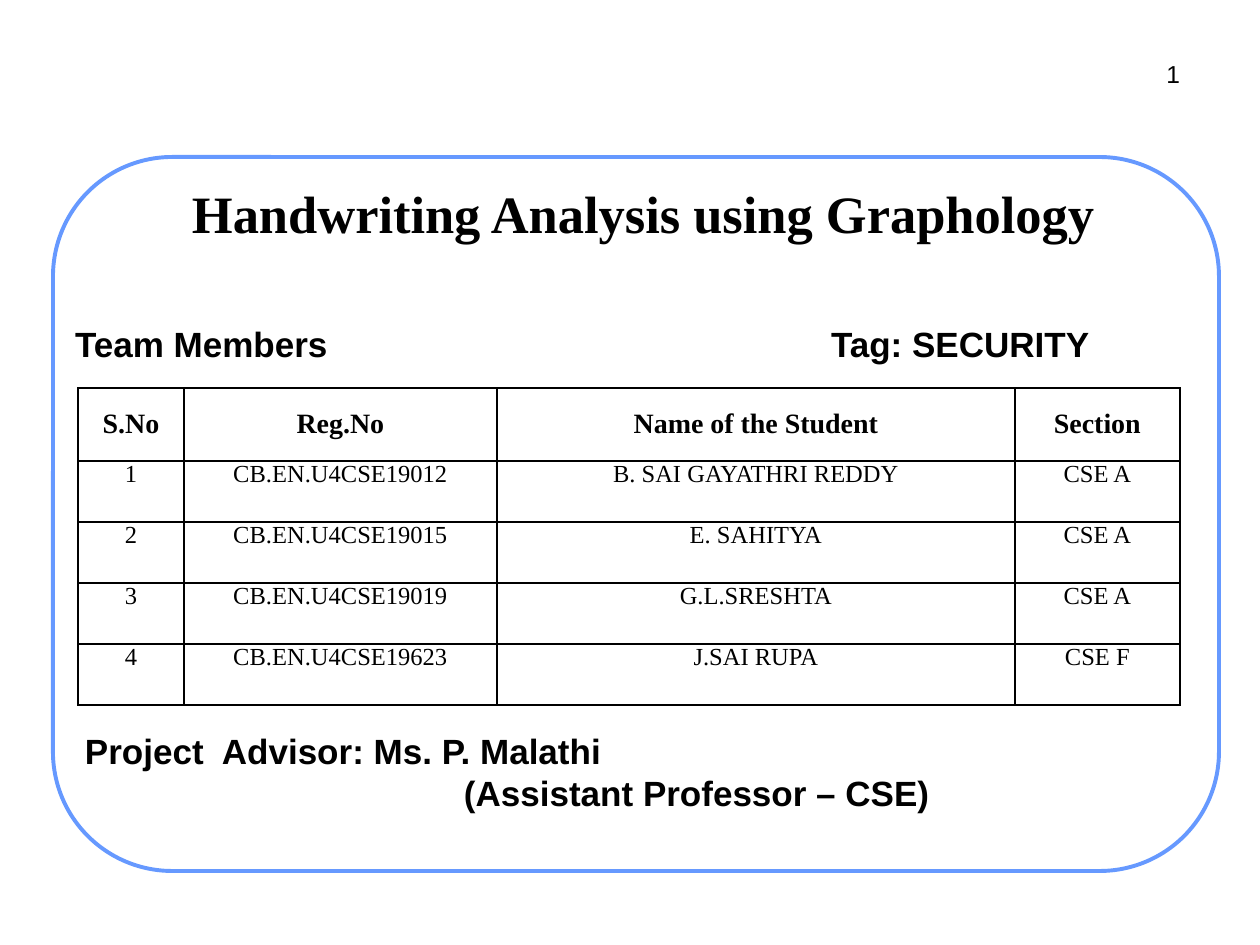
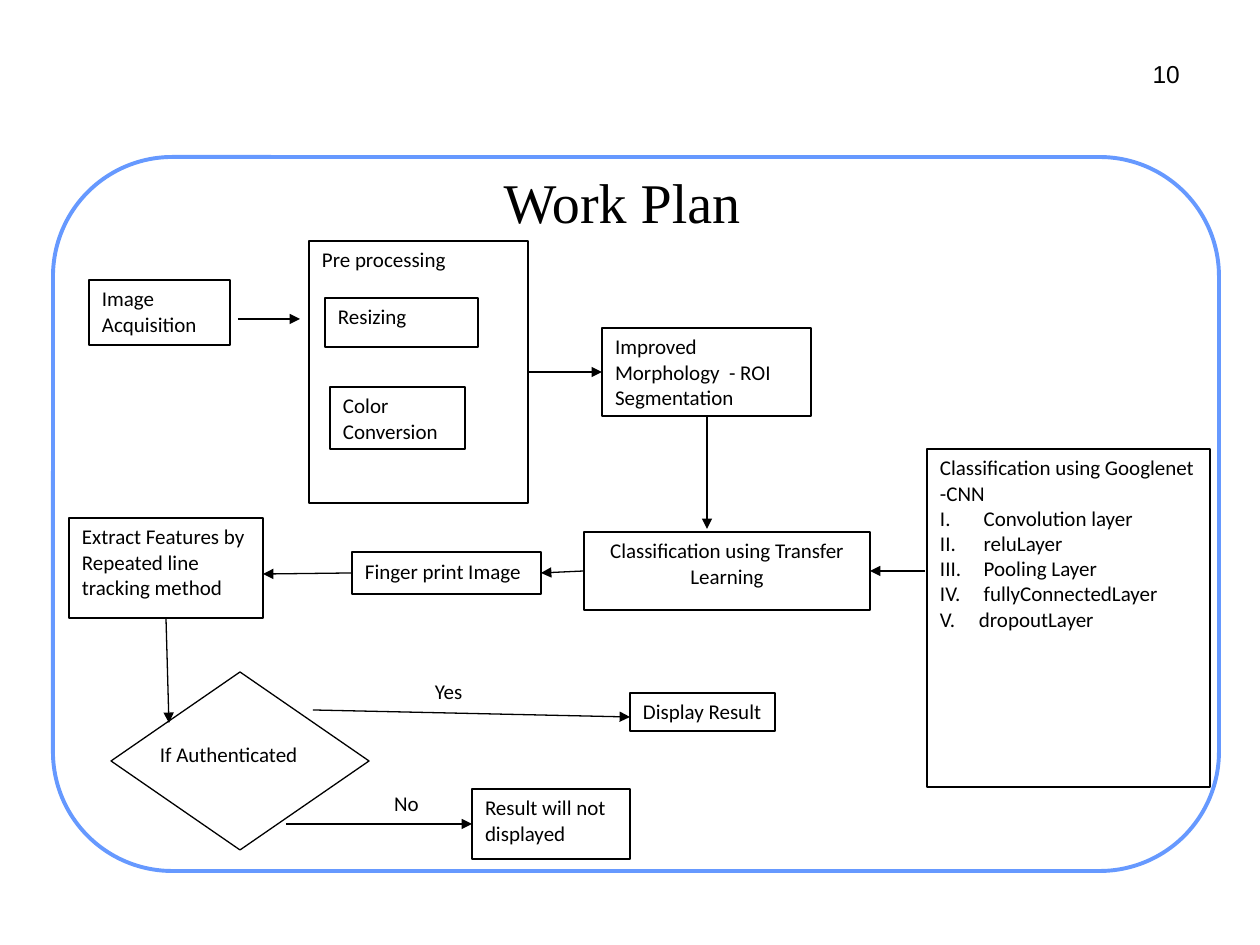
from dataclasses import dataclass
from lxml.etree import SubElement as Sub
from pptx import Presentation
from pptx.dml.color import RGBColor as Color
from pptx.enum.shapes import MSO_CONNECTOR as Link, MSO_SHAPE as Kind
from pptx.enum.text import MSO_ANCHOR as Anchor, MSO_AUTO_SIZE as Fit, PP_ALIGN as Align
from pptx.oxml.ns import qn
from pptx.util import Emu, Pt


@dataclass(frozen=True)
class Theme:
    ink: str = "000000"
    paper: str = "FFFFFF"
    rim: str = "6699FF"
    sans: str = "Arial"
    serif: str = "Times New Roman"
    flow: str = "Calibri"
    cover: int = 30
    title: int = 32
    lead: int = 20
    head: int = 16
    body: int = 14
    note: int = 12
    thin: float = 0.75
    thick: float = 2.25
    scale: float = 914400 / 126


def px(n):
    return Emu(round(n * Theme.scale))


class Deck:
    def __init__(self, theme):
        self.theme = theme
        self.file = Presentation()
        self.file.slide_width, self.file.slide_height = px(1260), px(945)
        self.base = self.file.slide_layouts[5]
        self.slide = None

    def page(self, number, title, box, size, bold=False):
        t = self.theme
        first = self.slide is None
        self.slide = self.file.slides.add_slide(self.base)
        if first:
            self.frame()
        head = self.slide.shapes.title
        head.left, head.top, head.width, head.height = map(px, box)
        self.put(head, [title], t.serif, size, bold, Align.CENTER, Anchor.MIDDLE)
        self.label((1136, 53, 50, 40), [number], t.sans, t.body, align=Align.RIGHT)

    def frame(self):
        rim = self.shape(Kind.ROUNDED_RECTANGLE, (53, 157, 1166, 714),
                         self.theme.rim, self.theme.thick)
        rim.adjustments[0] = 0.167
        self.base.shapes._spTree.insert(2, rim._element)

    def put(self, item, lines, face, size, bold=False, align=Align.LEFT,
            anchor=Anchor.TOP, inset=(6, 6)):
        text = item.text_frame
        text.word_wrap = True
        text.auto_size = Fit.NONE
        text.vertical_anchor = anchor
        text.margin_left = text.margin_right = px(inset[0])
        text.margin_top = text.margin_bottom = px(inset[1])
        for i, line in enumerate(lines):
            para = text.add_paragraph() if i else text.paragraphs[0]
            self.run(para, line, face, size, bold, align)
        return text.paragraphs

    def run(self, para, line, face, size, bold, align):
        para.alignment = align
        run = para.add_run()
        run.text = line
        font = run.font
        font.name, font.size, font.bold = face, Pt(size), bold
        font.color.rgb = Color.from_string(self.theme.ink)

    def label(self, box, lines, face, size, bold=False, align=Align.LEFT):
        item = self.slide.shapes.add_textbox(*map(px, box))
        return self.put(item, lines, face, size, bold, align)

    def shape(self, kind, box, ink, width):
        item = self.slide.shapes.add_shape(kind, *map(px, box))
        item.shadow.inherit = False
        item.fill.solid()
        item.fill.fore_color.rgb = Color.from_string(self.theme.paper)
        item.line.color.rgb = Color.from_string(ink)
        item.line.width = Pt(width)
        return item

    def step(self, box, *lines, align=Align.LEFT):
        t = self.theme
        item = self.shape(Kind.RECTANGLE, box, t.ink, t.thin)
        return self.put(item, lines, t.flow, t.note, align=align, inset=(13, 6))

    def indent(self, para, left, first=0):
        props = para._p.get_or_add_pPr()
        props.set("marL", str(px(left)))
        props.set("indent", str(px(first)))
        return props

    def roman(self, paras):
        for para in paras:
            props = self.indent(para, 39, -39)
            Sub(props, qn("a:buFont"), typeface="+mj-lt")
            Sub(props, qn("a:buAutoNum"), type="romanUcPeriod")

    def tab(self, para, place):
        stops = Sub(para._p.get_or_add_pPr(), qn("a:tabLst"))
        Sub(stops, qn("a:tab"), pos=str(px(place)), algn="l")

    def arrow(self, *ends):
        line = self.slide.shapes.add_connector(Link.STRAIGHT, *map(px, ends))
        line.line.color.rgb = Color.from_string(self.theme.ink)
        line.line.width = Pt(self.theme.thin)
        props = line._element.spPr
        Sub(props.get_or_add_ln(), qn("a:tailEnd"), type="triangle")
        Sub(props, qn("a:effectLst"))

    def table(self, left, top, cols, rows, data):
        item = self.slide.shapes.add_table(
            len(rows), len(cols), *map(px, (left, top, sum(cols), sum(rows))))
        grid = item.table
        grid.first_row = grid.horz_banding = False
        for col, width in zip(grid.columns, cols):
            col.width = px(width)
        for row, height, words in zip(grid.rows, rows, data):
            row.height = px(height)
            for cell, word in zip(row.cells, words):
                self.cell(cell, word, words is data[0])

    def cell(self, cell, word, head):
        t = self.theme
        cell.margin_left = cell.margin_right = 0
        cell.margin_top = cell.margin_bottom = 0
        cell.vertical_anchor = Anchor.MIDDLE if head else Anchor.TOP
        props = cell._tc.get_or_add_tcPr()
        for side in "LRTB":
            edge = Sub(props, qn(f"a:ln{side}"), w=str(Pt(1)))
            Sub(Sub(edge, qn("a:solidFill")), qn("a:srgbClr"), val=t.ink)
        cell.fill.solid()
        cell.fill.fore_color.rgb = Color.from_string(t.paper)
        self.run(cell.text_frame.paragraphs[0], word, t.serif,
                 t.head if head else t.body, head, Align.CENTER)


def team(deck):
    t = deck.theme
    deck.page("1", "Handwriting Analysis using Graphology",
              (113, 150, 1061, 126), t.cover, True)
    intro = deck.label((69, 317, 1104, 52), ["Team Members\tTag: SECURITY"],
                       t.sans, t.lead, True)
    deck.tab(intro[0], 756)
    deck.table(78, 388, (106, 313, 518, 165), (73, 61, 61, 61, 61), (
        ("S.No", "Reg.No", "Name of the Student", "Section"),
        ("1", "CB.EN.U4CSE19012", "B. SAI GAYATHRI REDDY", "CSE A"),
        ("2", "CB.EN.U4CSE19015", "E. SAHITYA", "CSE A"),
        ("3", "CB.EN.U4CSE19019", "G.L.SRESHTA", "CSE A"),
        ("4", "CB.EN.U4CSE19623", "J.SAI RUPA", "CSE F")))
    guide = deck.label((79, 723, 1094, 92),
                       ["Project  Advisor: Ms. P. Malathi", "(Assistant Professor – CSE)"],
                       t.sans, t.lead, True)
    deck.indent(guide[1], 379)


def plan(deck):
    t = deck.theme
    deck.page("10", "Work Plan", (114, 164, 1016, 74), t.title)
    for box, word in (
            ((630, 693, 145, 38), "Display Result"),
            ((352, 552, 189, 42), "Finger print Image"),
            ((309, 241, 219, 262), "Pre processing"),
            ((89, 280, 141, 65), "Image Acquisition"),
            ((325, 298, 153, 49), "Resizing"),
            ((330, 387, 135, 62), "Color Conversion"),
            ((602, 328, 209, 88), "Improved Morphology  - ROI Segmentation"),
            ((69, 518, 194, 100), "Extract Features by Repeated line tracking method"),
            ((472, 789, 158, 70), "Result will not displayed")):
        deck.step(box, word)
    deck.step((584, 532, 286, 78), "Classification using Transfer Learning",
              align=Align.CENTER)
    layers = deck.step((927, 449, 283, 338), "Classification using Googlenet -CNN",
                       " Convolution layer", " reluLayer", " Pooling Layer",
                       " fullyConnectedLayer", "dropoutLayer")
    deck.roman(layers[1:])
    deck.shape(Kind.DIAMOND, (111, 672, 258, 178), t.ink, t.thin)
    for ends in ((313, 710, 630, 717), (238, 319, 300, 319), (707, 416, 707, 529),
                 (584, 571, 541, 573), (925, 571, 870, 571), (352, 573, 263, 574),
                 (166, 618, 169, 723), (286, 824, 472, 824), (528, 372, 602, 372)):
        deck.arrow(*ends)
    for box, word in (((429, 673, 50, 38), "Yes"), ((388, 785, 46, 38), "No"),
                      ((154, 736, 174, 38), "If Authenticated")):
        deck.label(box, [word], t.flow, t.note)


def main():
    deck = Deck(Theme())
    team(deck)
    plan(deck)
    deck.file.save("out.pptx")


if __name__ == "__main__":
    main()
